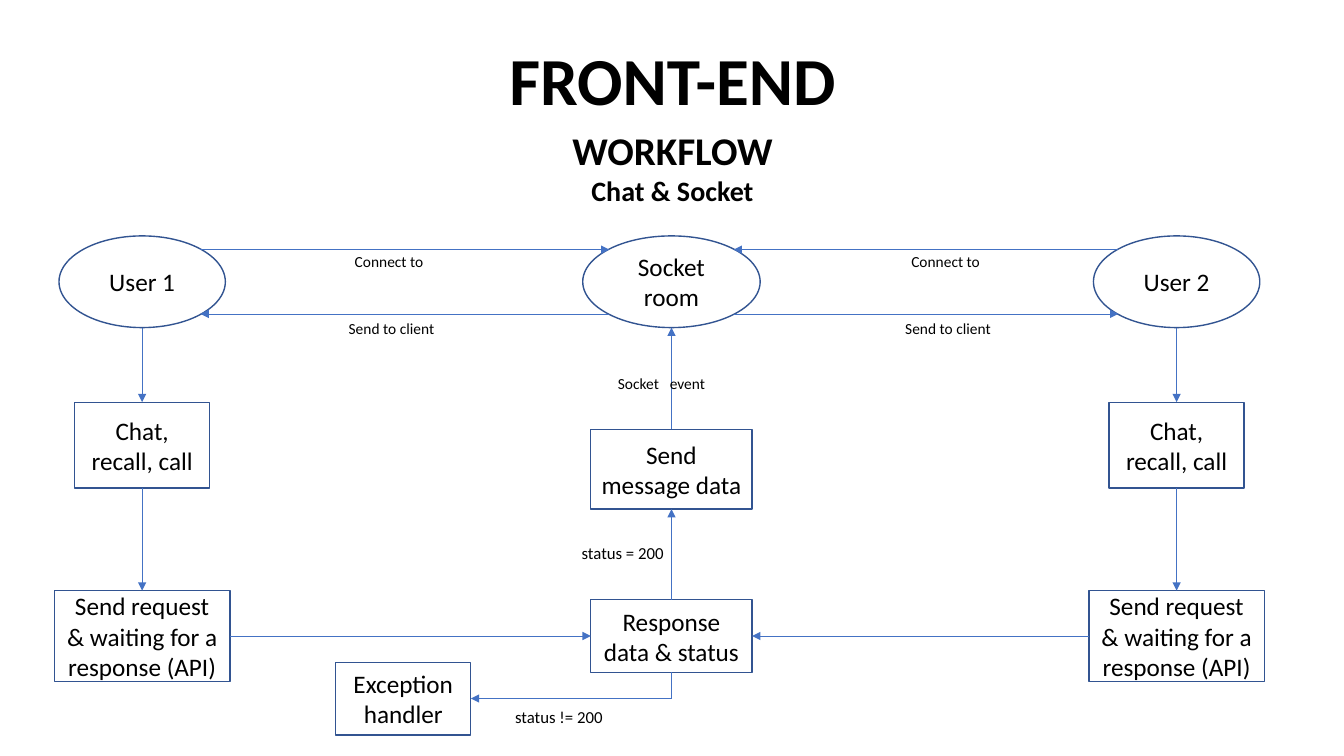
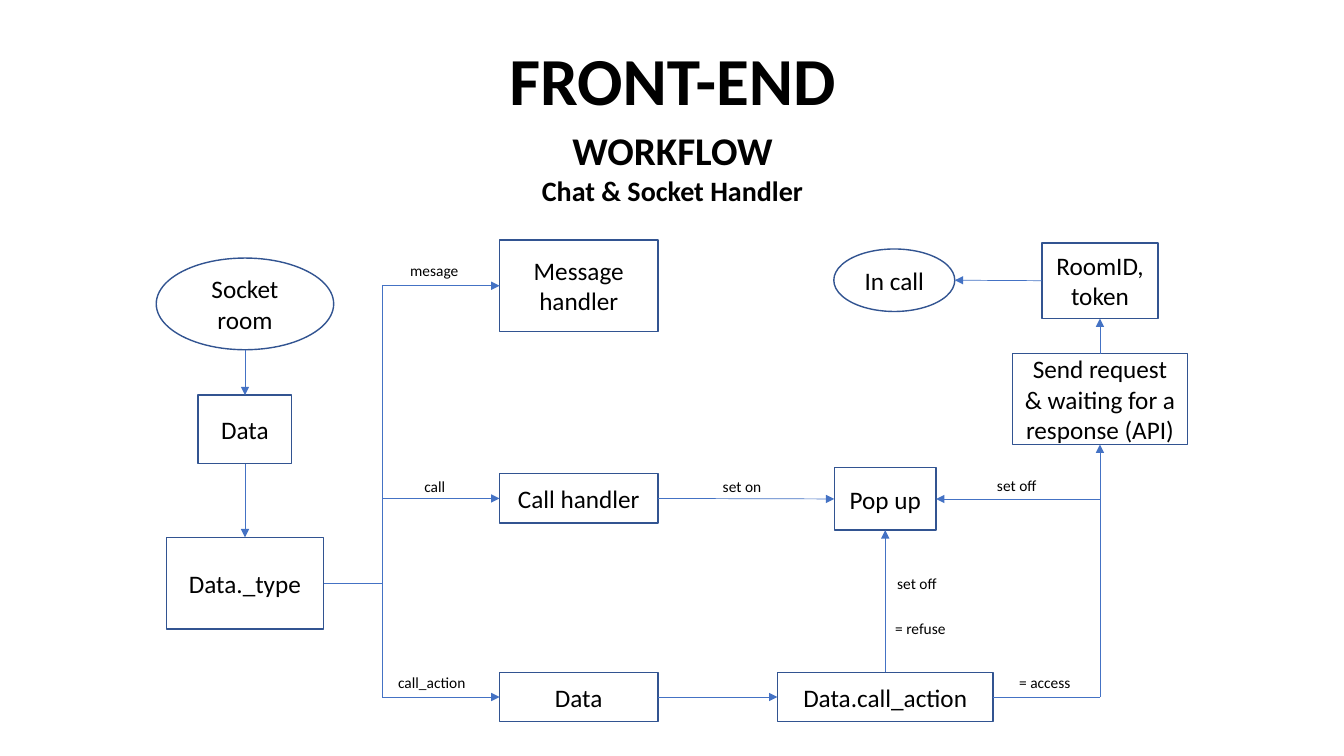
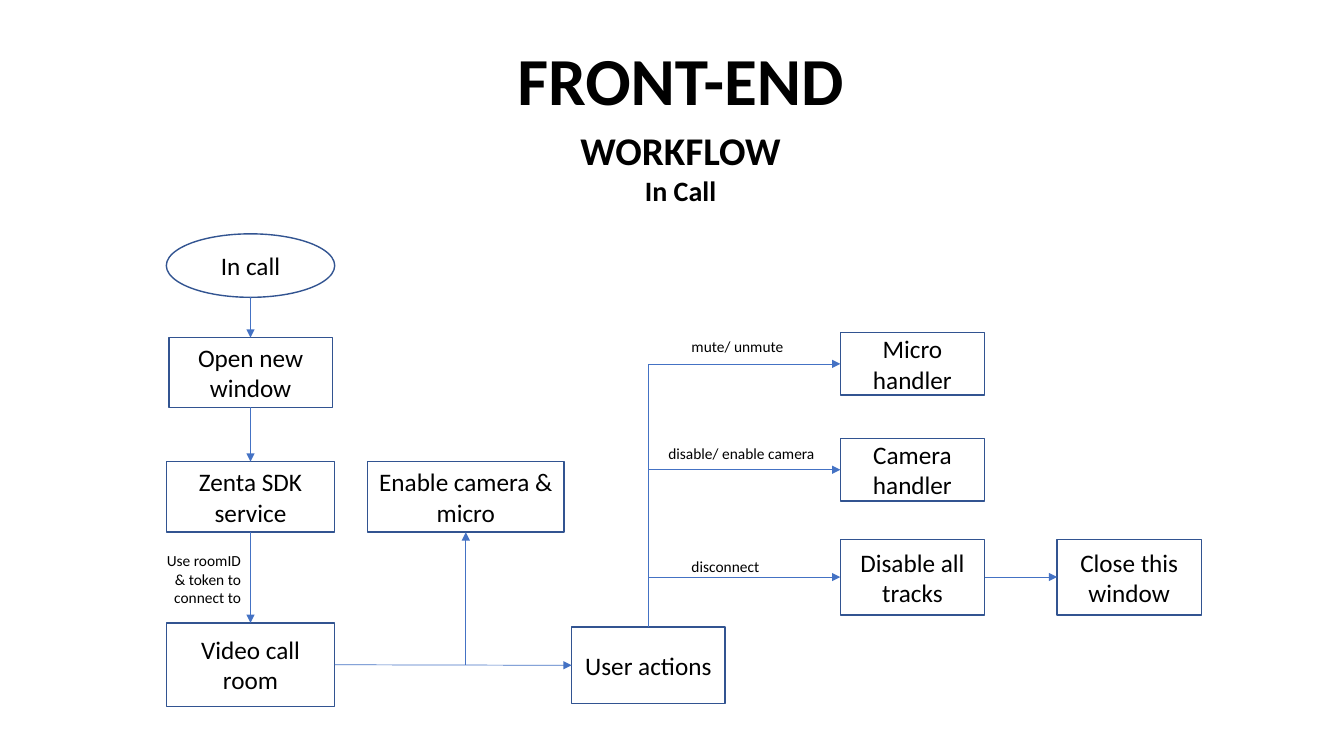
from dataclasses import dataclass
from typing import Any

from lxml import etree
from pptx import Presentation
from pptx.dml.color import RGBColor
from pptx.enum.shapes import MSO_CONNECTOR, MSO_SHAPE
from pptx.enum.text import MSO_ANCHOR, MSO_AUTO_SIZE, PP_ALIGN
from pptx.oxml.ns import qn
from pptx.util import Inches, Pt

OVAL, RECT = MSO_SHAPE.OVAL, MSO_SHAPE.RECTANGLE
STRAIGHT = MSO_CONNECTOR.STRAIGHT
TOP, MIDDLE = MSO_ANCHOR.TOP, MSO_ANCHOR.MIDDLE
LEFT, CENTER, RIGHT = PP_ALIGN.LEFT, PP_ALIGN.CENTER, PP_ALIGN.RIGHT
NO_FIT = MSO_AUTO_SIZE.NONE


@dataclass(frozen=True)
class Theme:
    font: str = "Calibri"
    ink: RGBColor = RGBColor.from_string("000000")
    outline: RGBColor = RGBColor.from_string("325491")
    arrow: RGBColor = RGBColor.from_string("4472C4")
    title: int = 48
    subtitle: int = 28
    topic: int = 20
    step: int = 18
    status: int = 12
    label: int = 11
    outline_width: float = 1
    arrow_width: float = 0.5


THEME = Theme()
CELL = 0.1  # all lengths below count grid cells of this many inches
SLIDE_WIDTH, SLIDE_HEIGHT = 133.3, 75

# Ports as shares of a step's width and height, and rectangle glue sites
PORTS = {
    "top": (0.5, 0), "left": (0, 0.5), "bottom": (0.5, 1), "right": (1, 0.5),
    "nw": (0.15, 0.15), "ne": (0.85, 0.15),
    "sw": (0.15, 0.85), "se": (0.85, 0.85),
}
SITES = {"top": 0, "left": 1, "bottom": 2, "right": 3}


def cells(*counts):
    return [Inches(round(count * CELL, 3)) for count in counts]


def set_all(target, values):
    for name, value in values.items():
        setattr(target, name, value)


def write(frame, lines, align=CENTER, anchor=TOP, bold=False):
    """Fill a text frame with (text, size) lines in the shared font."""
    set_all(frame, {"word_wrap": True, "auto_size": NO_FIT,
                    "vertical_anchor": anchor})
    for index, (text, size) in enumerate(lines):
        paragraph = frame.add_paragraph() if index else frame.paragraphs[0]
        set_all(paragraph, {"alignment": align, "space_before": Pt(0)})
        run = paragraph.add_run()
        run.text = text
        set_all(run.font, {"name": THEME.font, "size": Pt(size), "bold": bold})
        run.font.color.rgb = THEME.ink


@dataclass
class Port:
    x: float
    y: float
    shape: Any = None
    site: Any = None


@dataclass
class Step:
    shape: Any
    kind: Any
    left: float
    top: float
    width: float
    height: float

    def port(self, side):
        across, down = PORTS[side]
        site = SITES.get(side) if self.kind == RECT else None
        return Port(self.left + across * self.width,
                    self.top + down * self.height, self.shape, site)


@dataclass
class Region:
    """A box on the slide; its parts are placed relative to its corner."""
    slide: Any
    left: float
    top: float
    width: float
    height: float

    def point(self, x, y):
        return Port(self.left + x, self.top + y)

    def step(self, text, center, top, width, height, kind=RECT):
        left, top = self.left + center - width / 2, self.top + top
        shape = self.slide.shapes.add_shape(
            kind, *cells(left, top, width, height))
        shape.shadow.inherit = False
        shape.fill.background()
        shape.line.color.rgb = THEME.outline
        shape.line.width = Pt(THEME.outline_width)
        write(shape.text_frame, [(text, THEME.step)], anchor=MIDDLE)
        return Step(shape, kind, left, top, width, height)

    def label(self, text, left, top, width=12, size=THEME.label, align=LEFT):
        lines = [(line, size) for line in text.split("\n")]
        box = self.slide.shapes.add_textbox(*cells(
            self.left + left, self.top + top, width, 1 + 1.9 * len(lines)))
        write(box.text_frame, lines, align)

    def line(self, start, end, head):
        connector = self.slide.shapes.add_connector(
            STRAIGHT, *cells(start.x, start.y, end.x, end.y))
        if start.site is not None:
            connector.begin_connect(start.shape, start.site)
        if end.site is not None:
            connector.end_connect(end.shape, end.site)
        connector.line.color.rgb = THEME.arrow
        connector.line.width = Pt(THEME.arrow_width)
        properties = connector.element.spPr
        if head:
            etree.SubElement(properties.find(qn("a:ln")), qn("a:tailEnd"),
                             type="triangle")
        etree.SubElement(properties, qn("a:effectLst"))

    def route(self, *stops, head=True):
        """Join the stops; only the last leg carries an arrowhead."""
        for index in range(1, len(stops)):
            last = index == len(stops) - 1
            self.line(stops[index - 1], stops[index], head and last)

    def column(self, rows, upward=False):
        """Stack (text, top, width, height, kind) rows, joined by arrows."""
        steps = [self.step(text, self.width / 2, *rest)
                 for text, *rest in rows]
        for upper, lower in zip(steps, steps[1:]):
            ends = upper.port("bottom"), lower.port("top")
            self.route(*(reversed(ends) if upward else ends))
        return steps

    def fan(self, source, trunk_x, targets):
        """Branch from a source through a vertical trunk to the targets."""
        ends = [target.port("left") for target in targets]
        heights = [source.y] + [end.y for end in ends]
        if trunk_x != source.x:
            self.route(source, Port(trunk_x, source.y), head=False)
        self.route(Port(trunk_x, max(heights)), Port(trunk_x, min(heights)),
                   head=False)
        for end in ends:
            self.route(Port(trunk_x, end.y), end)


def heading_slide(deck, topic, shift=0):
    """New slide with the shared heading, centred apart from the shift."""
    slide = deck.slides.add_slide(deck.slide_layouts[0])
    title, subtitle = slide.placeholders
    parts = [
        (title, (5.2, 3.3, 123, 9.1), [("FRONT-END", THEME.title)]),
        (subtitle, (31, 12, 71.4, 9.1),
         [("WORKFLOW", THEME.subtitle), (topic, THEME.topic)]),
    ]
    for holder, (left, top, width, height), lines in parts:
        frame = cells(left + shift, top, width, height)
        set_all(holder, dict(zip(("left", "top", "width", "height"), frame)))
        write(holder.text_frame, lines, bold=True)
    return slide


# Chat & Socket

def user_column(region, name):
    return region.column([
        (name, 0, 16.5, 9.1, OVAL),
        ("Chat, recall, call", 16.5, 13.4, 8.5),
        ("Send request & waiting for a response (API)", 35.2, 17.4, 9),
    ])


def room_column(region):
    steps = region.column([
        ("Socket room", 0, 17.6, 9.1, OVAL),
        ("Send message data", 19.2, 16, 7.9),
        ("Response data & status", 36.1, 16, 7.2),
    ], upward=True)
    region.label("Socket", 2.5, 13.2, 8)
    region.label("event", 7.65, 13.2, 8)
    region.label("status = 200", -1.1, 29.9, size=THEME.status)
    return steps


def room_links(region, user, room, user_side, room_side, indent):
    region.route(user.port("n" + user_side), room.port("n" + room_side))
    region.route(room.port("s" + room_side), user.port("s" + user_side))
    region.label("Connect to", indent, -0.3)
    region.label("Send to client", indent - 0.6, 6.4)


def exception_branch(region, response):
    handler = region.step("Exception handler", 6.7, 0, 13.4, 7.2)
    source, target = response.port("bottom"), handler.port("right")
    region.route(source, Port(source.x, target.y), target)
    region.label("status != 200", 16.8, 3.9, size=THEME.status)


def chat_slide(deck):
    slide = heading_slide(deck, "Chat & Socket")
    user_1, _, request_1 = user_column(
        Region(slide, 5.4, 23.4, 17.4, 44.2), "User 1")
    user_2, _, request_2 = user_column(
        Region(slide, 108, 23.4, 17.4, 44.2), "User 2")
    room, _, response = room_column(Region(slide, 57.8, 23.4, 17.6, 43.3))
    left_links = Region(slide, 19.9, 24.8, 40.4, 6.4)
    right_links = Region(slide, 72.8, 24.8, 38.1, 6.4)
    room_links(left_links, user_1, room, "e", "w", 14.3)
    room_links(right_links, user_2, room, "w", "e", 16.6)
    left_links.route(request_1.port("right"), response.port("left"))
    right_links.route(request_2.port("left"), response.port("right"))
    exception_branch(Region(slide, 33.3, 65.7, 33.3, 7.2), response)


# Chat & Socket Handler

def data_column(region):
    return region.column([
        ("Socket room", 0, 17.6, 9.1, OVAL),
        ("Data", 13.6, 9.3, 6.8),
        ("Data._type", 27.7, 15.6, 9.1),
    ])


def type_branches(region, data_type):
    message, call, data = [
        region.step(text, 19.5, top, 15.7, height) for text, top, height in (
            ("Message handler", 0, 9.1),
            ("Call handler", 23.2, 4.9),
            ("Data", 42.9, 4.9))]
    region.fan(data_type.port("right"), region.left, (message, call, data))
    for text, left, top in (("mesage", 1.8, 1.6), ("call", 3.2, 23),
                            ("call_action", 0.6, 42.5)):
        region.label(text, left, top)
    return call, data


def call_flow(region, call, data):
    popup = region.step("Pop up", 10.7, 22.3, 10.1, 6.2)
    action = region.step("Data.call_action", 10.7, 42.6, 21.4, 4.9)
    in_call = region.step("In call", 11.6, 0.6, 12, 6.2, OVAL)
    access = Region(region.slide, region.left + 23.3, region.top, 17.4, 20)
    token, request = access.column([
        ("RoomID, token", 0, 11.5, 7.5),
        ("Send request & waiting for a response (API)", 11, 17.4, 9),
    ], upward=True)
    # Opening and closing the pop-up
    region.route(call.port("right"), popup.port("left"))
    region.route(data.port("right"), action.port("left"))
    region.route(action.port("top"), popup.port("bottom"))
    # Granted access leads to the call
    entry, closing = request.port("bottom"), popup.port("right")
    region.route(action.port("right"),
                 Port(entry.x, action.port("right").y), entry)
    region.route(Port(entry.x, closing.y), closing)
    region.route(token.port("left"), in_call.port("right"))
    for text, left, top in (("set on", -6.4, 22.7), ("set off", 20.8, 22.6),
                            ("set off", 10.9, 32.4), ("= refuse", 10.7, 36.8),
                            ("= access", 23, 42.2)):
        region.label(text, left, top)


def handler_slide(deck):
    slide = heading_slide(deck, "Chat & Socket Handler")
    _, _, data_type = data_column(Region(slide, 15.5, 25.6, 17.6, 36.8))
    call, data = type_branches(
        Region(slide, 37.9, 23.8, 27.4, 47.8), data_type)
    call_flow(Region(slide, 77.1, 24.1, 40.7, 47.5), call, data)


# In Call

def window_column(region):
    steps = region.column([
        ("In call", 0, 16.7, 6.3, OVAL),
        ("Open new window", 10.3, 16.2, 6.9),
        ("Zenta SDK service", 22.6, 16.7, 7),
        ("Video call room", 38.6, 16.7, 8.3),
    ])
    region.label("Use roomID\n& token to\nconnect to", -2.3, 31, 10.7,
                 align=RIGHT)
    return steps[-1]


def room_actions(region, room):
    camera = region.step("Enable camera & micro", 9.7, 0, 19.5, 7)
    actions = region.step("User actions", 27.8, 16.4, 15.2, 7.6)
    source, target = room.port("right"), camera.port("bottom")
    region.route(source, actions.port("left"))
    region.route(Port(target.x, source.y), target)
    return actions


def action_branches(region, actions):
    micro, camera, tracks = [
        region.step(text, 26.2, top, 14.3, height) for text, top, height in (
            ("Micro handler", 0, 6.2),
            ("Camera handler", 10.5, 6.2),
            ("Disable all tracks", 20.5, 7.5))]
    closing = region.step("Close this window", 47.7, 20.5, 14.3, 7.5)
    source = actions.port("top")
    region.fan(source, source.x, (micro, camera, tracks))
    region.route(tracks.port("right"), closing.port("left"))
    for text, left, top in (("mute/ unmute", 3.3, 0),
                            ("disable/ enable camera", 1, 10.6),
                            ("disconnect", 3.3, 21.8)):
        region.label(text, left, top, 19.1)


def call_slide(deck):
    slide = heading_slide(deck, "In Call", shift=0.8)
    room = window_column(Region(slide, 16.5, 23.2, 16.7, 46.9))
    actions = room_actions(Region(slide, 36.5, 45.8, 35.4, 24), room)
    action_branches(Region(slide, 64.3, 33, 54.9, 28), actions)


def main():
    deck = Presentation()
    deck.slide_width, deck.slide_height = cells(SLIDE_WIDTH, SLIDE_HEIGHT)
    for build in (chat_slide, handler_slide, call_slide):
        build(deck)
    deck.save("out.pptx")


if __name__ == "__main__":
    main()
